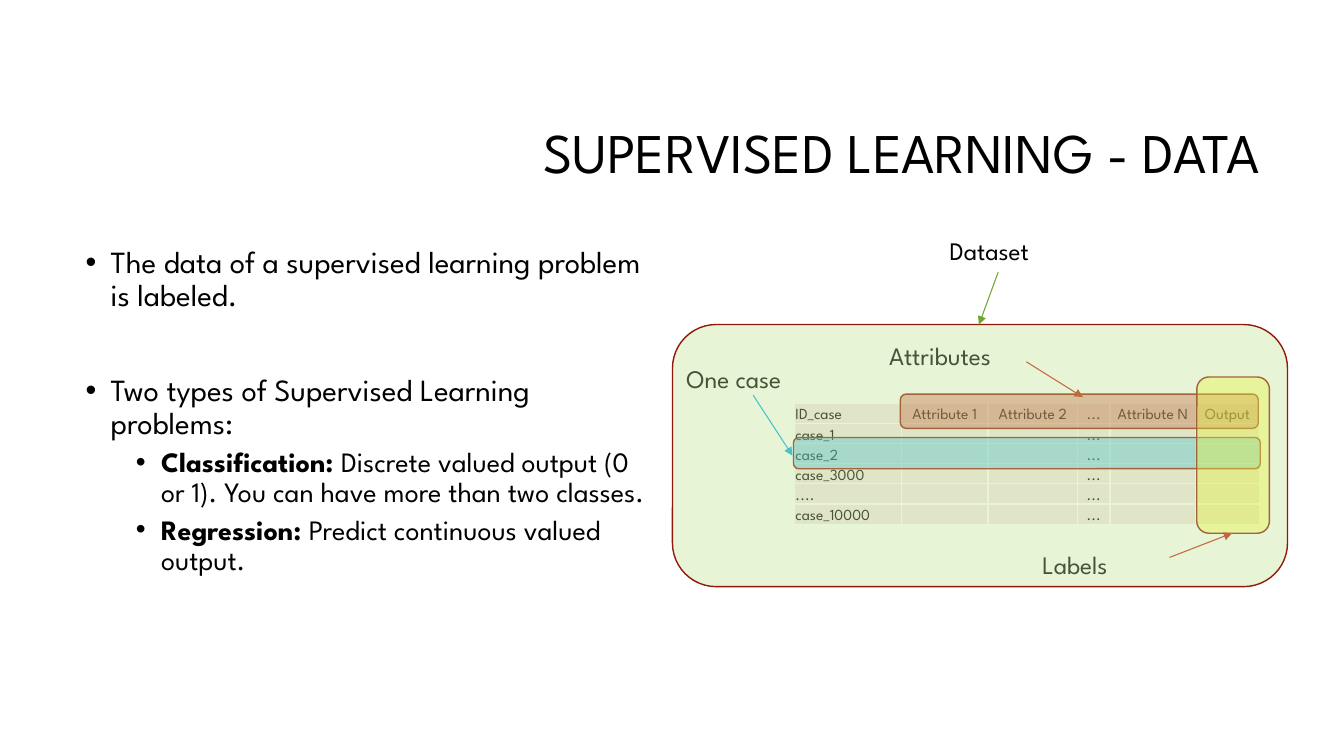
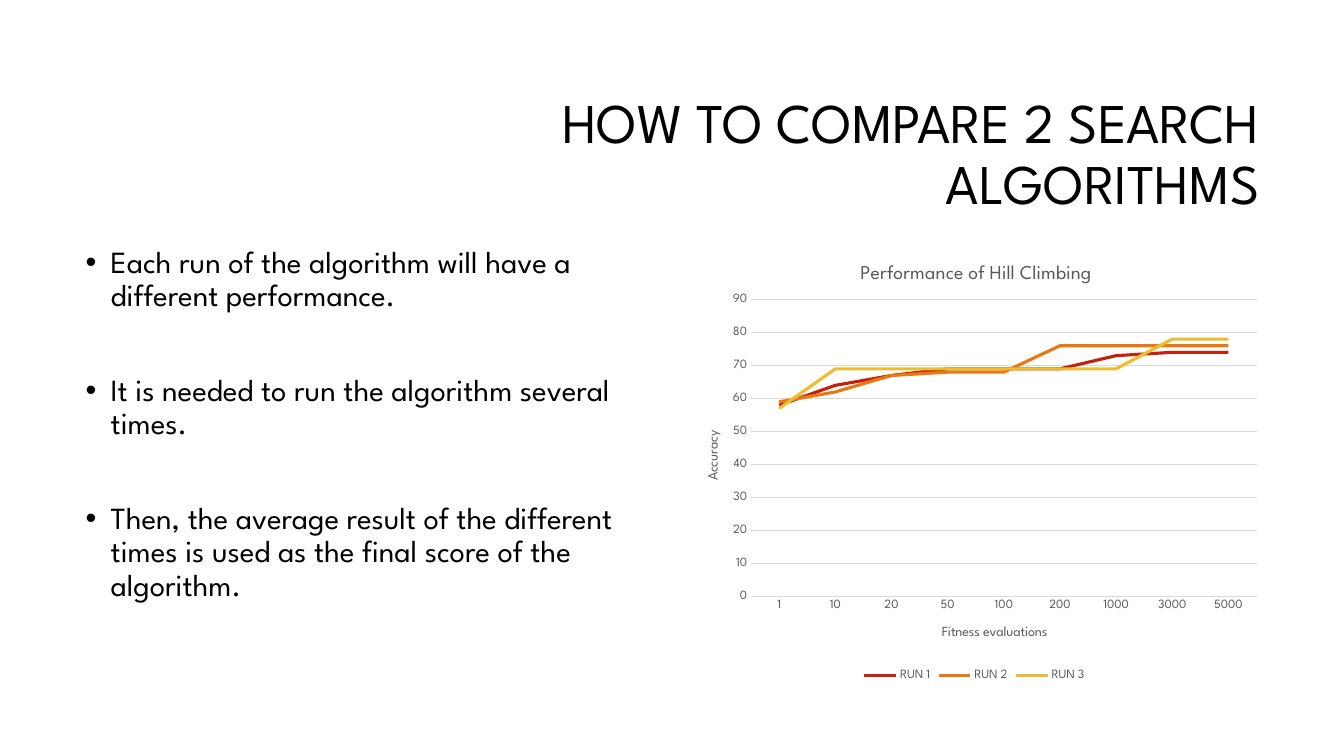
"""Build two slides on supervised learning data and comparing search algorithms."""
import dataclasses

import lxml.etree
import pptx
import pptx.chart.data
import pptx.dml.color
import pptx.enum.chart
import pptx.enum.shapes
import pptx.enum.text
import pptx.oxml.ns
import pptx.util

Inches = pptx.util.Inches
Pt = pptx.util.Pt
RGB = pptx.dml.color.RGBColor.from_string
qn = pptx.oxml.ns.qn


@dataclasses.dataclass(frozen=True)
class Theme:
    font: str = "League Spartan"
    text: str = "000000"
    muted: str = "595959"
    grid: str = "D9D9D9"
    cell: str = "F5E8E7"
    border: str = "FFFFFF"
    outline: str = "91190A"
    red: str = "C4220D"
    orange: str = "EB7712"
    gold: str = "ECBD31"
    blue: str = "00B0F0"
    yellow: str = "FFFF00"
    lime: str = "BEE292"
    green: str = "6EA52D"
    title_size: int = 40
    body_sizes: tuple = (22, 20)
    label_size: int = 18
    cell_size: int = 11
    chart_title_size: int = 14
    axis_title_size: int = 10
    tick_size: int = 9


theme = Theme()


def add_run(paragraph, text, size, color=theme.text, bold=False):
    run = paragraph.add_run()
    run.text = text
    run.font.name = theme.font
    run.font.size = Pt(size)
    run.font.bold = bold
    run.font.color.rgb = RGB(color)


def add_child(parent, tag, **attributes):
    return lxml.etree.SubElement(parent, qn(tag), attributes)


FIRST, NEXT, SUB = (0, 10), (0, 44), (1, 5)
contents = [
    ("SUPERVISED LEARNING - DATA", [
        (FIRST, "", "The data of a supervised learning problem is labeled."),
        (NEXT, "", "Two types of Supervised Learning problems:"),
        (SUB, "Classification: ",
         "Discrete valued output (0 or 1). You can have more than two classes."),
        (SUB, "Regression: ", "Predict continuous valued output."),
    ]),
    ("HOW TO COMPARE 2 SEARCH ALGORITHMS", [
        (FIRST, "", "Each run of the algorithm will have a different performance."),
        (NEXT, "", "It is needed to run the algorithm several times."),
        (NEXT, "", "Then, the average result of the different times is used "
                   "as the final score of the algorithm."),
    ]),
]

deck = pptx.Presentation()
deck.slide_width, deck.slide_height = Inches(13.33), Inches(7.5)

for heading, bullets in contents:
    slide = deck.slides.add_slide(deck.slide_layouts[6])

    title = slide.shapes.add_textbox(
        Inches(3.17), Inches(0.84), Inches(9.42), Inches(1.41)).text_frame
    title.word_wrap = True
    title.vertical_anchor = pptx.enum.text.MSO_ANCHOR.MIDDLE
    title.paragraphs[0].alignment = pptx.enum.text.PP_ALIGN.RIGHT
    title.paragraphs[0].line_spacing = 0.9
    add_run(title.paragraphs[0], heading, theme.title_size)

    body = slide.shapes.add_textbox(
        Inches(0.75), Inches(2.4), Inches(5.83), Inches(4.4)).text_frame
    body.word_wrap = True
    for index, ((level, gap), term, sentence) in enumerate(bullets):
        bullet = body.add_paragraph() if index else body.paragraphs[0]
        bullet.level = level
        bullet.line_spacing = 0.9
        bullet.space_before = Pt(gap)
        properties = bullet._p.get_or_add_pPr()
        properties.set("marL", str(Inches(0.25 + 0.5 * level)))
        properties.set("indent", str(Inches(-0.25)))
        add_child(properties, "a:buFont", typeface="Arial")
        add_child(properties, "a:buChar", char="•")
        if term:
            add_run(bullet, term, theme.body_sizes[level], bold=True)
        add_run(bullet, sentence, theme.body_sizes[level])

data_slide, compare_slide = deck.slides

column_widths = [1.06, 0.86, 0.89, 0.32, 0.85, 0.63]
cases = ["case_1", "case_2", "case_3000", "....", "case_10000"]
records = [["ID_case", "Attribute 1", "Attribute 2", "...", "Attribute N", "Output"]]
records += [[case, "", "", "...", "", ""] for case in cases]
dataset = data_slide.shapes.add_table(
    len(records), len(column_widths),
    Inches(7.88), Inches(4), Inches(4.61), Inches(1.2)).table
dataset.first_row = dataset.horz_banding = False
for column, width in zip(dataset.columns, column_widths):
    column.width = Inches(width)
for row, record in enumerate(records):
    dataset.rows[row].height = Inches(0.2)
    for position, value in enumerate(record):
        cell = dataset.cell(row, position)
        cell.margin_left = cell.margin_right = cell.margin_top = Inches(0.01)
        cell.margin_bottom = 0
        cell.vertical_anchor = pptx.enum.text.MSO_ANCHOR.BOTTOM
        for side in ("a:lnL", "a:lnR", "a:lnT", "a:lnB"):
            edge = add_child(cell._tc.get_or_add_tcPr(), side, w=str(Pt(1)))
            add_child(add_child(edge, "a:solidFill"), "a:srgbClr", val=theme.border)
        cell.fill.solid()
        cell.fill.fore_color.rgb = RGB(theme.cell)
        entry = cell.text_frame.paragraphs[0]
        if position:
            entry.alignment = pptx.enum.text.PP_ALIGN.CENTER
        if value:
            add_run(entry, value, theme.cell_size)
        else:
            entry._p.get_or_add_endParaRPr().set("sz", str(theme.cell_size * 100))

callouts = [
    ("Attributes", (8.72, 3.33, 1.36), (10.18, 3.59, 10.74, 3.94), theme.red,
     (8.93, 3.91, 3.55, 0.34), theme.red),
    ("One case", (6.71, 3.56, 1.41), (7.47, 3.92, 7.86, 4.52), theme.blue,
     (7.87, 4.34, 4.63, 0.31), theme.blue),
    ("Labels", (10.24, 5.4, 0.98), (11.6, 5.53, 12.22, 5.29), theme.red,
     (11.87, 3.74, 0.72, 1.55), theme.yellow),
    ("Dataset", (9.32, 2.29, 1.17), (9.9, 2.7, 9.71, 3.22), theme.green,
     (6.67, 3.22, 6.1, 2.6), theme.lime),
]
for name, (left, top, width), ends, arrow_color, area, tint in callouts:
    region = data_slide.shapes.add_shape(
        pptx.enum.shapes.MSO_SHAPE.ROUNDED_RECTANGLE, *map(Inches, area))
    region.shadow.inherit = False
    region.fill.solid()
    region.fill.fore_color.rgb = RGB(tint)
    region.line.color.rgb = RGB(theme.outline)
    region.line.width = Pt(1)
    add_child(region._element.spPr.find(".//" + qn("a:srgbClr")), "a:alpha", val="37000")

    arrow = data_slide.shapes.add_connector(
        pptx.enum.shapes.MSO_CONNECTOR.STRAIGHT, *map(Inches, ends))
    arrow.line.color.rgb = RGB(arrow_color)
    arrow.line.width = Pt(0.75)
    arrow_properties = arrow._element.spPr
    add_child(arrow_properties.find(qn("a:ln")), "a:tailEnd", type="triangle")
    add_child(arrow_properties, "a:effectLst")

    label = data_slide.shapes.add_textbox(
        Inches(left), Inches(top), Inches(width), Inches(0.4)).text_frame
    label.word_wrap = False
    add_run(label.paragraphs[0], name, theme.label_size)

runs = [
    ("RUN 1", [58, 64, 67, 69, 69, 69, 73, 74, 74], theme.red),
    ("RUN 2", [59, 62, 67, 68, 68, 76, 76, 76, 76], theme.orange),
    ("RUN 3", [57, 69, 69, 69, 69, 69, 69, 78, 78], theme.gold),
]
results = pptx.chart.data.CategoryChartData()
results.categories = ["1", "10", "20", "50", "100", "200", "1000", "3000", "5000"]
for name, accuracies, color in runs:
    results.add_series(name, accuracies)
performance = compare_slide.shapes.add_chart(
    pptx.enum.chart.XL_CHART_TYPE.LINE,
    Inches(6.75), Inches(2.4), Inches(5.83), Inches(4.4), results).chart
performance.font.name = theme.font
performance.font.size = Pt(theme.tick_size)
performance.font.color.rgb = RGB(theme.muted)
performance.has_legend = True
performance.legend.position = pptx.enum.chart.XL_LEGEND_POSITION.BOTTOM
performance.legend.include_in_layout = False
performance.plots[0].vary_by_categories = False
for series, (name, accuracies, color) in zip(performance.plots[0].series, runs):
    series.smooth = False
    series.format.line.color.rgb = RGB(color)
    series.format.line.width = Pt(2.25)

evaluations, accuracy = performance.category_axis, performance.value_axis
for axis in (evaluations, accuracy):
    axis.major_tick_mark = axis.minor_tick_mark = pptx.enum.chart.XL_TICK_MARK.NONE
evaluations.format.line.color.rgb = RGB(theme.grid)
evaluations.format.line.width = Pt(0.75)
accuracy.format.line.fill.background()
accuracy.minimum_scale, accuracy.maximum_scale, accuracy.major_unit = 0, 90, 10
accuracy.major_gridlines.format.line.color.rgb = RGB(theme.grid)
accuracy.major_gridlines.format.line.width = Pt(0.75)

chart_titles = [
    (performance.chart_title, "Performance of Hill Climbing", theme.chart_title_size),
    (evaluations.axis_title, "Fitness evaluations", theme.axis_title_size),
    (accuracy.axis_title, "Accuracy", theme.axis_title_size),
]
for chart_title, wording, size in chart_titles:
    add_run(chart_title.text_frame.paragraphs[0], wording, size, theme.muted)
accuracy_body = accuracy.axis_title.text_frame._txBody.find(qn("a:bodyPr"))
accuracy_body.set("rot", "-5400000")
accuracy_body.set("vert", "horz")

plot_area = performance._chartSpace.find(".//" + qn("c:plotArea"))
placements = [
    (plot_area, 0, {"x": 0.12, "y": 0.13, "w": 0.86, "h": 0.67}),
    (performance.chart_title._element, 1, {"x": 0.3, "y": 0.04}),
    (evaluations.axis_title._element, 1, {"x": 0.44, "y": 0.86}),
    (accuracy.axis_title._element, 1, {"x": 0.04, "y": 0.42}),
]
for part, order, fractions in placements:
    for automatic in part.findall(qn("c:layout")):
        part.remove(automatic)
    layout = add_child(part, "c:layout")
    part.insert(order, layout)
    manual = add_child(layout, "c:manualLayout")
    if "w" in fractions:
        add_child(manual, "c:layoutTarget", val="inner")
    for mode in ("c:xMode", "c:yMode"):
        add_child(manual, mode, val="edge")
    for dimension, fraction in fractions.items():
        add_child(manual, "c:" + dimension, val=str(fraction))

deck.save("out.pptx")
